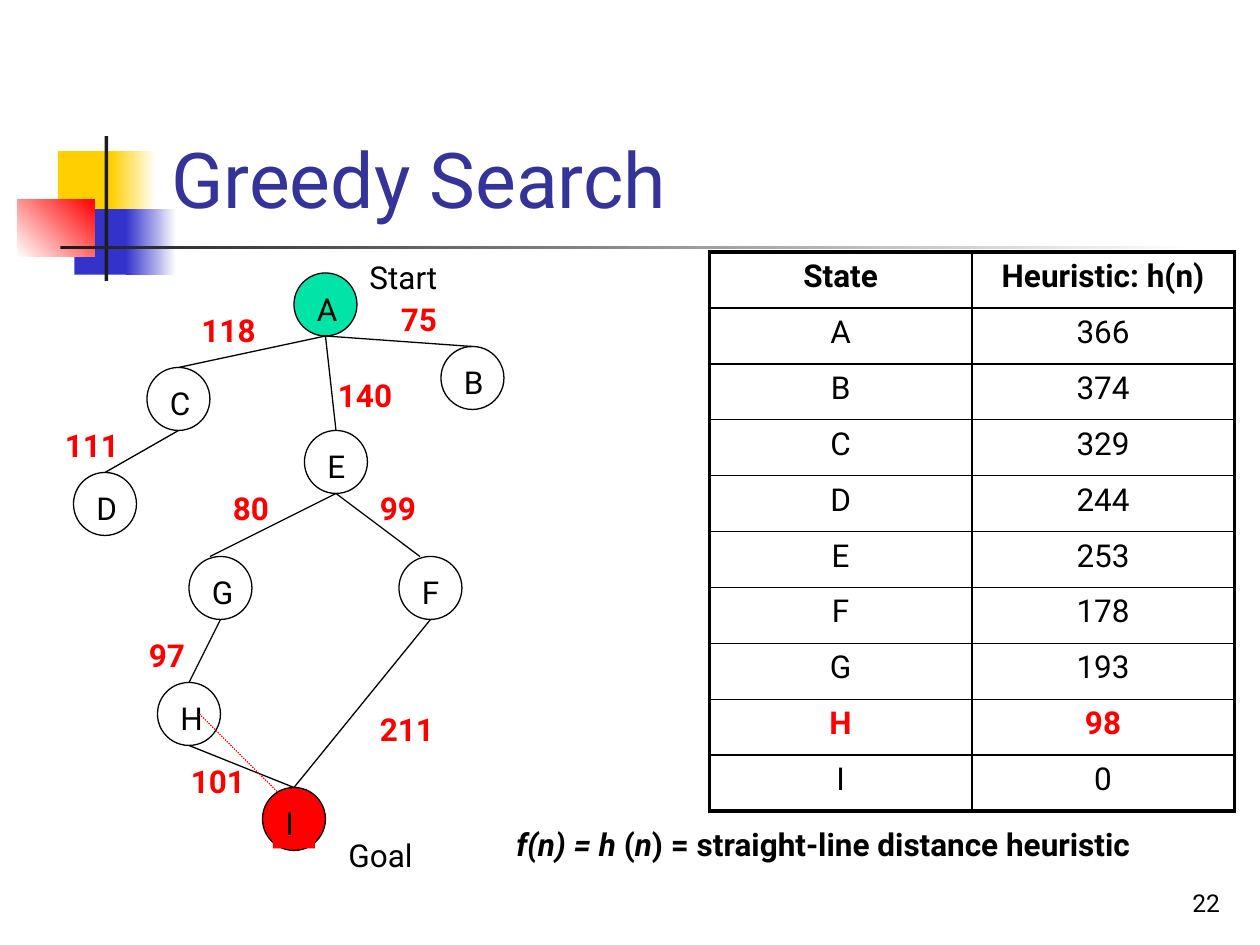
from pptx import Presentation
from pptx.dml.color import RGBColor
from pptx.enum.dml import MSO_LINE
from pptx.enum.shapes import MSO_CONNECTOR as LINK, MSO_SHAPE as FORM
from pptx.enum.text import MSO_ANCHOR as ANCHOR, MSO_AUTO_SIZE as FIT, PP_ALIGN as ALIGN
from pptx.oxml.ns import qn
from pptx.util import Inches, Pt
from lxml.etree import SubElement

BLACK = RGBColor(0, 0, 0)
WHITE = RGBColor(255, 255, 255)
RED = RGBColor(255, 0, 0)
GREEN = RGBColor(0x00, 0xE4, 0xA8)
GOLD = RGBColor(0xFF, 0xCF, 0x01)
BLUE = RGBColor(0x33, 0x33, 0xCC)
NAVY = RGBColor(0x33, 0x33, 0x99)
COAL = RGBColor(0x1C, 0x1C, 0x1C)
FONT = "Roboto"
UNIT = Inches(1) // 12
NODE = 6
HIGH = 4.8


def write(frame, runs, color=BLACK, size=18, align=ALIGN.LEFT):
    para = frame.paragraphs[0]
    para.alignment = align
    for words, bold, slant in runs:
        run = para.add_run()
        run.text = words
        font = run.font
        font.name, font.size, font.bold, font.italic = FONT, Pt(size), bold, slant
        font.color.rgb = color


def label(shapes, spot, runs, color=BLACK):
    box = shapes.add_textbox(*[int(n * UNIT) for n in spot])
    box.text_frame.word_wrap = True
    box.text_frame.auto_size = FIT.SHAPE_TO_FIT_TEXT
    write(box.text_frame, runs, color)
    return box


deck = Presentation()
deck.slide_width, deck.slide_height = Inches(10), Inches(7.5)
slide = deck.slides.add_slide(deck.slide_layouts[5])
shapes = slide.shapes

blocks = [
    (0.46, 1.2, 0.48, 0.52, GOLD, None, 0),
    (0.88, 1.2, 0.36, 0.52, GOLD, WHITE, 0),
    (0.59, 1.66, 0.46, 0.52, BLUE, None, 0),
    (1, 1.66, 0.4, 0.52, BLUE, WHITE, 0),
    (0.14, 1.58, 0.61, 0.46, WHITE, RED, 45),
    (0.83, 1.08, 0.03, 1.15, COAL, None, 0),
    (0.48, 1.95, 9, 0.03, COAL, WHITE, 0),
]
for *spot, first, last, angle in blocks:
    block = shapes.add_shape(FORM.RECTANGLE, *map(Inches, spot))
    block.shadow.inherit = False
    block.line.fill.background()
    if last is None:
        block.fill.solid()
        block.fill.fore_color.rgb = first
    else:
        block.fill.gradient()
        block.fill.gradient_angle = angle
        for stop, color in zip(block.fill.gradient_stops, (first, last)):
            stop.color.rgb = color

title = shapes.title
title.left, title.top, title.width, title.height = map(Inches, (1.26, 0.23, 8.52, 1.6))
title.text_frame.auto_size = FIT.NONE
title.text_frame.vertical_anchor = ANCHOR.BOTTOM
write(title.text_frame, [("Greedy Search", False, False)], NAVY, 44)

page = shapes.add_textbox(*map(Inches, (7.7, 6.83, 2.08, 0.5)))
page.text_frame.word_wrap = True
page.text_frame.vertical_anchor = ANCHOR.BOTTOM
write(page.text_frame, [("22", False, False)], size=14, align=ALIGN.RIGHT)

nodes = {
    "A": (28, 26), "B": (42, 33), "C": (14, 35), "D": (7, 45), "E": (29, 41),
    "F": (38, 53), "G": (18, 53), "H": (15, 65), "I": (25, 75),
}
fills = {"A": GREEN, "I": RED}
for name, (x, y) in nodes.items():
    group = shapes.add_group_shape()
    disc = group.shapes.add_shape(FORM.OVAL, x * UNIT, y * UNIT, NODE * UNIT, NODE * UNIT)
    disc.shadow.inherit = False
    disc.line.color.rgb = BLACK
    disc.line.width = Pt(0.75)
    disc.fill.background()
    if name in fills:
        disc.fill.solid()
        disc.fill.fore_color.rgb = fills[name]
    box = label(group.shapes, (x + 1, y + 1, NODE - 2, HIGH), [(name, False, False)])
    if name == "I":
        box.fill.solid()
        box.fill.fore_color.rgb = RED

edges = [("AB", 0), ("AC", 0), ("AE", 0), ("CD", 0), ("EF", -1),
         ("EG", -1), ("GH", 0), ("HI", 0), ("FI", 0)]
half = NODE // 2
lines = []
for (start, end), shift in edges:
    (x, y), (u, v) = nodes[start], nodes[end]
    lines.append((x + half, y + NODE, u + half + shift, v, BLACK))
lines.append((19, 68, 28, 77, RED))
for *ends, color in lines:
    line = shapes.add_connector(LINK.STRAIGHT, *[n * UNIT for n in ends])
    line.line.color.rgb = color
    line.line.width = Pt(0.75)
    if color == RED:
        line.line.dash_style = MSO_LINE.ROUND_DOT
        SubElement(line.line._get_or_add_ln(), qn("a:tailEnd"), type="triangle")
    SubElement(line._element.spPr, qn("a:effectLst"))

costs = [
    ("75", 37, 28, 8), ("118", 18, 29, 10), ("140", 31, 35.2, 10),
    ("111", 5, 40, 10), ("99", 35, 46, 8), ("80", 21, 46, 8),
    ("97", 13, 60, 8), ("101", 17, 72, 11), ("211", 35, 67, 10),
]
for cost, x, y, wide in costs:
    label(shapes, (x, y, wide, HIGH), [(cost, True, False)], RED)
for note, x, y in [("Start", 34, 24), ("Goal", 32, 79)]:
    label(shapes, (x, y, 16, HIGH), [(note, False, False)])
label(shapes, (48, 78, 72, HIGH), [
    ("f(n) = h ", True, True), ("(", True, False), ("n", True, True),
    (") = straight-line distance heuristic", True, False),
])

rows = [("State", "Heuristic: h(n)"), ("A", "366"), ("B", "374"), ("C", "329"),
        ("D", "244"), ("E", "253"), ("F", "178"), ("G", "193"), ("H", "98"), ("I", "0")]
high = Inches(4.44) // len(rows)
table = shapes.add_table(len(rows), 2, Inches(5.63), Inches(2),
                         50 * UNIT, high * len(rows)).table
table.first_row = table.horz_banding = False
for r, row in enumerate(rows):
    table.rows[r].height = high
    for c, words in enumerate(row):
        cell = table.cell(r, c)
        sides = {"L": c == 0, "R": c == 1, "T": r == 0, "B": r == len(rows) - 1}
        for side, outer in sides.items():
            edge = SubElement(cell._tc.get_or_add_tcPr(), qn("a:ln" + side),
                              w=str(Pt(2.25 if outer else 1)))
            SubElement(SubElement(edge, qn("a:solidFill")), qn("a:srgbClr"), val=str(BLACK))
        cell.fill.background()
        write(cell.text_frame, [(words, row[0] in ("State", "H"), False)],
              RED if row[0] == "H" else BLACK, align=ALIGN.CENTER)

deck.save("out.pptx")
